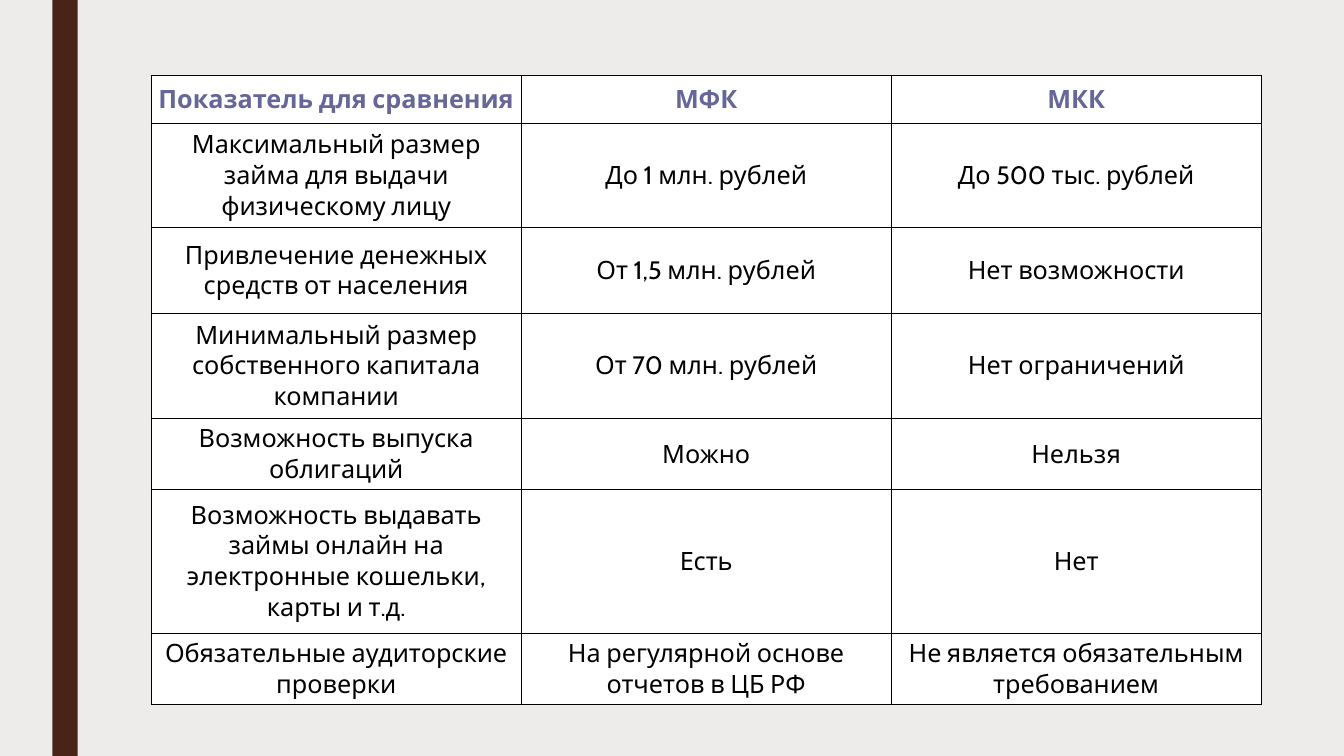
from lxml.etree import SubElement
from pptx import Presentation
from pptx.dml.color import RGBColor
from pptx.enum.shapes import MSO_SHAPE as Shape
from pptx.enum.text import MSO_ANCHOR as Anchor, PP_ALIGN as Align
from pptx.oxml.ns import qn
from pptx.util import Inches, Pt

BACKGROUND = RGBColor(0xED, 0xEC, 0xEB)
BROWN = RGBColor(0x4A, 0x23, 0x18)
VIOLET = RGBColor(0x66, 0x66, 0x99)
BLACK = RGBColor(0, 0, 0)
WHITE = RGBColor(0xFF, 0xFF, 0xFF)

COLUMN_WIDTH = 3.67
ROW_HEIGHTS = [0.47, 1.04, 0.85, 1.04, 0.71, 1.42, 0.71]
COMPARISON = [
    ("Показатель для сравнения", "МФК", "МКК"),
    ("Максимальный размер займа для выдачи физическому лицу",
     "До 1 млн. рублей", "До 500 тыс. рублей"),
    ("Привлечение денежных средств от населения",
     "От 1,5 млн. рублей", "Нет возможности"),
    ("Минимальный размер собственного капитала компании",
     "От 70 млн. рублей", "Нет ограничений"),
    ("Возможность выпуска облигаций", "Можно", "Нельзя"),
    ("Возможность выдавать займы онлайн на электронные кошельки, карты и т.д.",
     "Есть", "Нет"),
    ("Обязательные аудиторские проверки",
     "На регулярной основе отчетов в ЦБ РФ",
     "Не является обязательным требованием"),
]


def write(frame, text, *, font="Cabin", size=18, color=BLACK, bold=False,
          align=Align.CENTER):
    para = frame.paragraphs[0]
    para.alignment = align
    span = para.add_run()
    span.text = text
    span.font.name = font
    span.font.size = Pt(size)
    span.font.bold = bold
    span.font.color.rgb = color


def add_borders(cell, color=BLACK, width=0.5):
    """Outline a cell; call before filling it, as the lines must come first."""
    properties = cell._tc.get_or_add_tcPr()
    for side in ("a:lnL", "a:lnR", "a:lnT", "a:lnB"):
        line = SubElement(properties, qn(side), w=str(Pt(width)))
        fill = SubElement(line, qn("a:solidFill"))
        SubElement(fill, qn("a:srgbClr"), val=str(color))


class Page:
    cell_margin = Inches(0.03)

    def __init__(self, deck):
        self.slide = deck.slides.add_slide(deck.slide_layouts[6])
        background = self.slide.background.fill
        background.solid()
        background.fore_color.rgb = BACKGROUND

    def bar(self, left, top, width, height, color):
        bar = self.slide.shapes.add_shape(
            Shape.RECTANGLE, Inches(left), Inches(top), Inches(width), Inches(height))
        bar.shadow.inherit = False
        bar.fill.solid()
        bar.fill.fore_color.rgb = color
        bar.line.fill.background()

    def table(self, left, top, column_width, row_heights, rows):
        columns = len(rows[0])
        table = self.slide.shapes.add_table(
            len(rows), columns, Inches(left), Inches(top),
            Inches(column_width * columns), Inches(sum(row_heights))).table
        table.first_row = table.horz_banding = False
        for column in table.columns:
            column.width = Inches(column_width)
        for index, (height, texts) in enumerate(zip(row_heights, rows)):
            table.rows[index].height = Inches(height)
            header = index == 0
            for cell, text in zip(table.rows[index].cells, texts):
                self.style_cell(cell)
                write(cell.text_frame, text, bold=header,
                      color=VIOLET if header else BLACK)

    def style_cell(self, cell):
        cell.margin_left = cell.margin_right = self.cell_margin
        cell.margin_top = cell.margin_bottom = self.cell_margin
        cell.vertical_anchor = Anchor.MIDDLE
        add_borders(cell)
        cell.fill.solid()
        cell.fill.fore_color.rgb = WHITE


def main():
    deck = Presentation()
    deck.slide_width = Inches(13.33)
    deck.slide_height = Inches(7.5)
    page = Page(deck)
    page.bar(0.52, 0, 0.25, 7.5, BROWN)
    page.table(1.5, 0.75, COLUMN_WIDTH, ROW_HEIGHTS, COMPARISON)
    deck.save("out.pptx")


if __name__ == "__main__":
    main()
